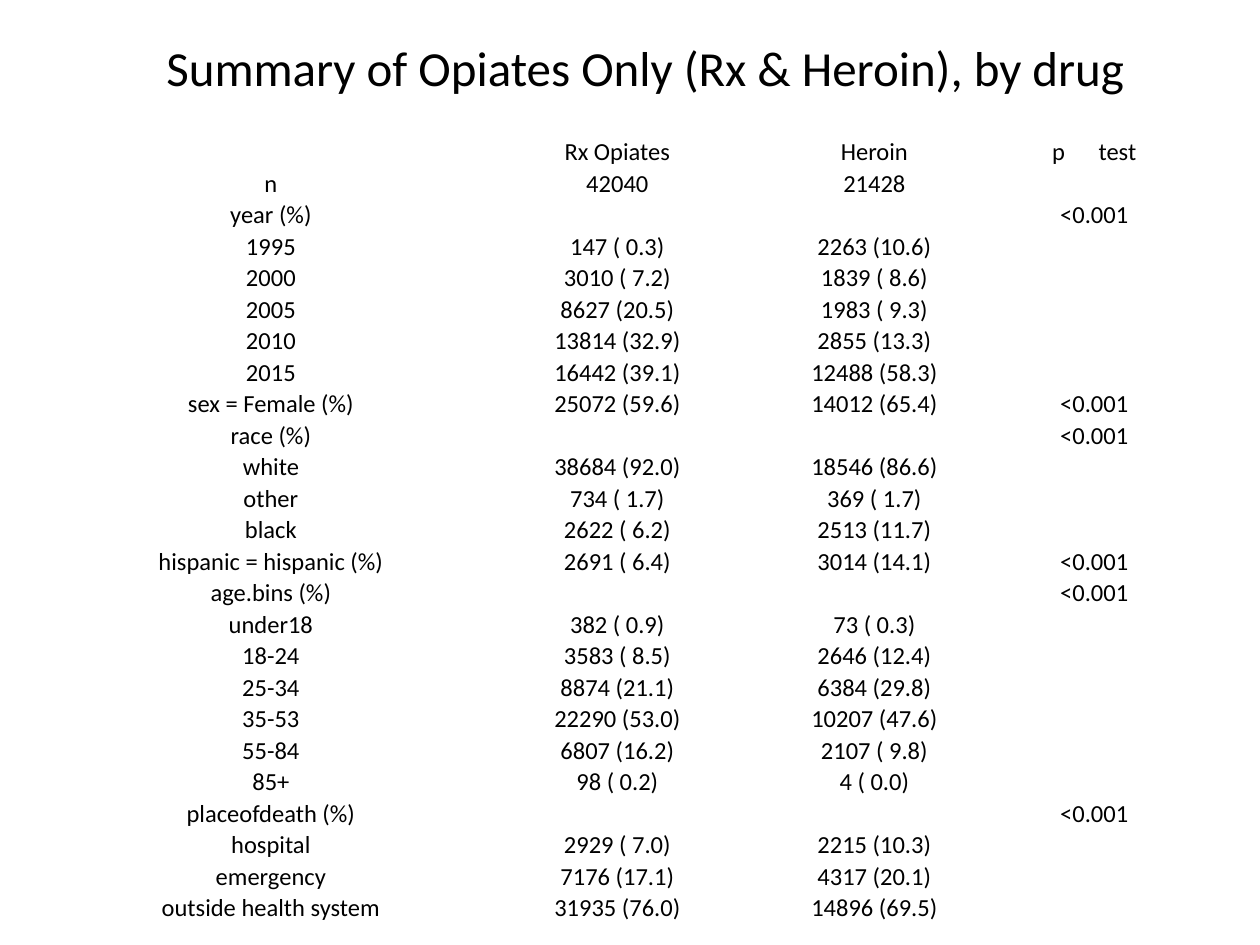
"""Build the summary slide of opiates by drug."""
import pptx
import pptx.dml.color
import pptx.enum.text
import pptx.util
from lxml import etree
from pptx.oxml.ns import qn
from pptx.util import Inches

COLORS = {"text": "000000"}
FONT = "Calibri"
TITLE = "Summary of Opiates Only (Rx & Heroin), by drug"
COLUMN_WIDTHS = [3.46, 2.04, 2.04, 1.45]
ROW_HEIGHT = 0.25
CELL_SIZE = 14
HEADER_GAP = 16
SIGNIFICANT = "<0.001"
ROWS = [
    ("", "Rx Opiates", "Heroin", "p test"),
    ("n", "42040", "21428", ""),
    ("year (%)", "", "", SIGNIFICANT),
    ("1995", "147 ( 0.3)", "2263 (10.6)", ""),
    ("2000", "3010 ( 7.2)", "1839 ( 8.6)", ""),
    ("2005", "8627 (20.5)", "1983 ( 9.3)", ""),
    ("2010", "13814 (32.9)", "2855 (13.3)", ""),
    ("2015", "16442 (39.1)", "12488 (58.3)", ""),
    ("sex = Female (%)", "25072 (59.6)", "14012 (65.4)", SIGNIFICANT),
    ("race (%)", "", "", SIGNIFICANT),
    ("white", "38684 (92.0)", "18546 (86.6)", ""),
    ("other", "734 ( 1.7)", "369 ( 1.7)", ""),
    ("black", "2622 ( 6.2)", "2513 (11.7)", ""),
    ("hispanic = hispanic (%)", "2691 ( 6.4)", "3014 (14.1)", SIGNIFICANT),
    ("age.bins (%)", "", "", SIGNIFICANT),
    ("under18", "382 ( 0.9)", "73 ( 0.3)", ""),
    ("18-24", "3583 ( 8.5)", "2646 (12.4)", ""),
    ("25-34", "8874 (21.1)", "6384 (29.8)", ""),
    ("35-53", "22290 (53.0)", "10207 (47.6)", ""),
    ("55-84", "6807 (16.2)", "2107 ( 9.8)", ""),
    ("85+", "98 ( 0.2)", "4 ( 0.0)", ""),
    ("placeofdeath (%)", "", "", SIGNIFICANT),
    ("hospital", "2929 ( 7.0)", "2215 (10.3)", ""),
    ("emergency", "7176 (17.1)", "4317 (20.1)", ""),
    ("outside health system", "31935 (76.0)", "14896 (69.5)", ""),
]


def write_text(frame, text, size, align="CENTER", gap=0):
    """Write one formatted paragraph, widening its spaces by gap points."""
    paragraph = frame.paragraphs[0]
    paragraph.alignment = getattr(pptx.enum.text.PP_ALIGN, align)
    if not text:
        end = etree.SubElement(paragraph._p, qn("a:endParaRPr"))
        end.set("sz", str(size * 100))
        return
    pieces = text.partition(" ") if gap else [text]
    for piece in pieces:
        run = paragraph.add_run()
        run.text = piece
        run.font.name = FONT
        run.font.size = pptx.util.Pt(size)
        run.font.bold = False
        run.font.color.rgb = pptx.dml.color.RGBColor.from_string(COLORS["text"])
        if piece == " ":
            run._r.get_or_add_rPr().set("spc", str(gap * 100))


def add_title(slide):
    """Place and fill the title placeholder."""
    title = slide.shapes.title
    title.left, title.top = Inches(1.22), Inches(0.25)
    title.width, title.height = Inches(7.9), Inches(0.57)
    frame = title.text_frame
    frame.word_wrap = False
    frame.auto_size = pptx.enum.text.MSO_AUTO_SIZE.SHAPE_TO_FIT_TEXT
    frame.vertical_anchor = pptx.enum.text.MSO_ANCHOR.TOP
    write_text(frame, TITLE, 28, align="LEFT")


def fill_cell(cell, text, gap):
    """Format one plain table cell and write its text."""
    cell.fill.background()
    cell.vertical_anchor = pptx.enum.text.MSO_ANCHOR.MIDDLE
    cell.margin_left = cell.margin_right = cell.margin_top = Inches(0.01)
    cell.margin_bottom = 0
    write_text(cell.text_frame, text, CELL_SIZE, gap=gap)


def add_summary_table(slide):
    """Add the table of counts and percentages."""
    table = slide.shapes.add_table(
        len(ROWS), len(COLUMN_WIDTHS), Inches(0.42), Inches(1.08),
        Inches(sum(COLUMN_WIDTHS)), Inches(ROW_HEIGHT * len(ROWS))).table
    table.first_row = table.horz_banding = False
    for column, width in zip(table.columns, COLUMN_WIDTHS):
        column.width = Inches(width)
    for row_index, (row, texts) in enumerate(zip(table.rows, ROWS)):
        row.height = Inches(ROW_HEIGHT)
        for column_index, text in enumerate(texts):
            is_test_header = row_index == 0 and column_index == 3
            fill_cell(row.cells[column_index], text,
                      HEADER_GAP if is_test_header else 0)


def main():
    """Build and save the presentation."""
    presentation = pptx.Presentation()
    presentation.slide_width = Inches(10)
    presentation.slide_height = Inches(7.5)
    slide = presentation.slides.add_slide(presentation.slide_layouts[5])
    add_summary_table(slide)
    add_title(slide)
    presentation.save("out.pptx")


if __name__ == "__main__":
    main()
